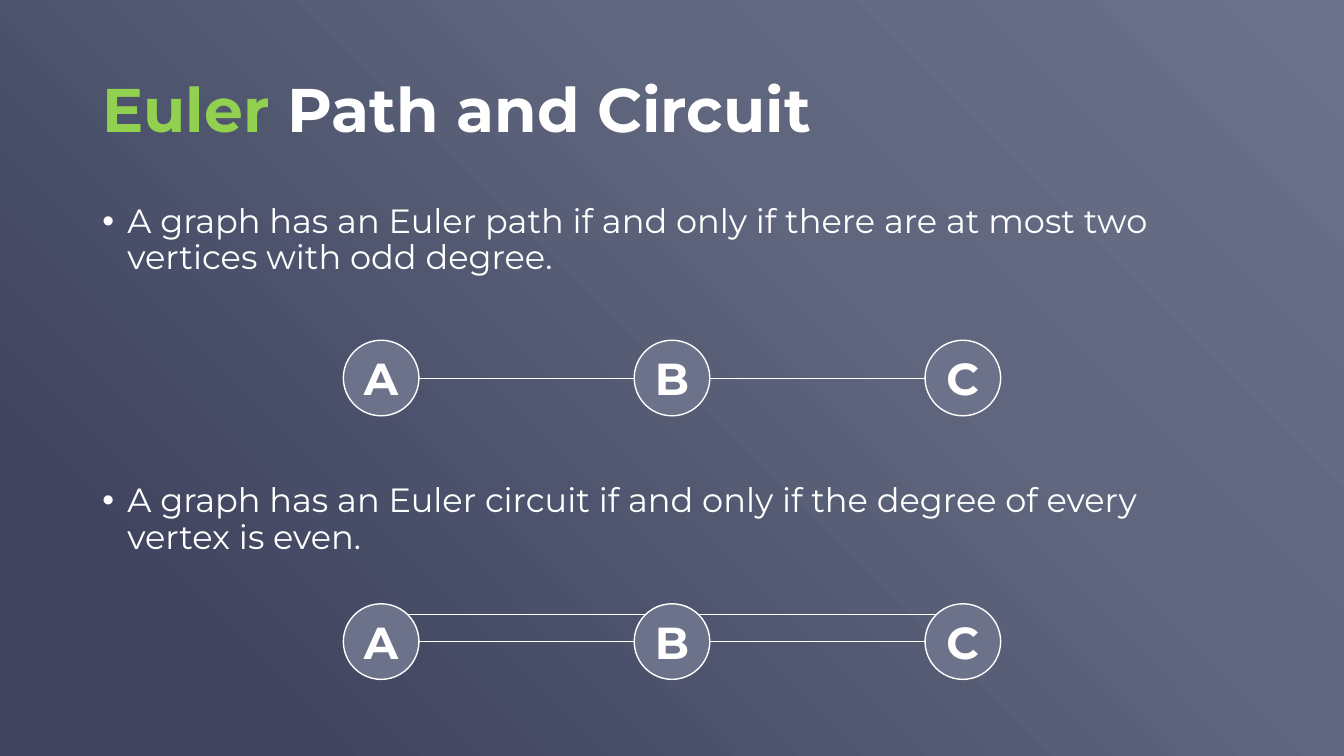
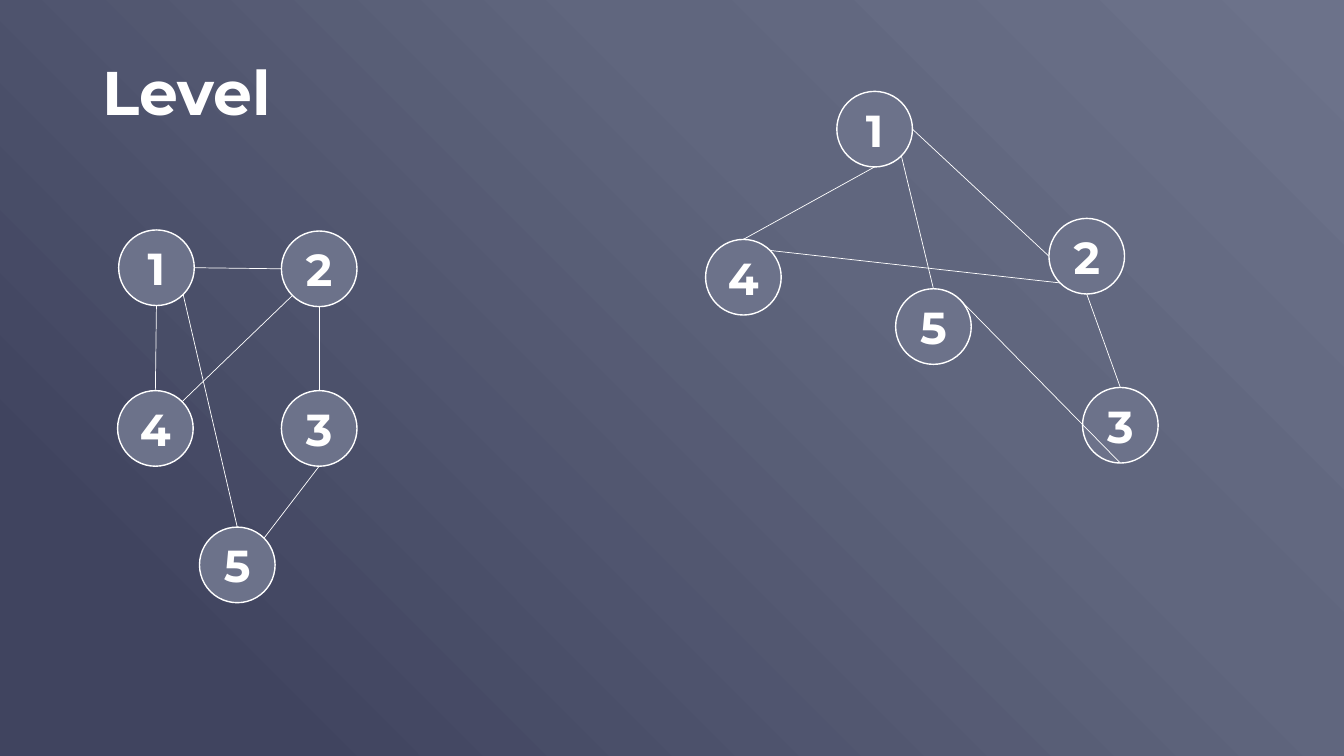
from copy import deepcopy
from dataclasses import dataclass
from math import cos, radians, sin

from lxml.etree import SubElement
from pptx import Presentation
from pptx.dml.color import RGBColor
from pptx.enum.shapes import MSO_CONNECTOR, MSO_SHAPE
from pptx.enum.text import MSO_ANCHOR, MSO_AUTO_SIZE, PP_ALIGN
from pptx.oxml.ns import qn
from pptx.util import Emu, Pt


@dataclass(frozen=True)
class Theme:
    font: str = "Montserrat"
    text: str = "FFFFFF"
    accent: str = "92D050"
    node: str = "6C728A"
    backdrop: tuple = ((0, "6C728A"), (0.35, "60667E"), (0.86, "40445F"))
    title_size: int = 44
    body_size: int = 24
    label_size: int = 32
    outline: float = 1
    edge: float = 0.5


THEME = Theme()
EMU_PER_PX = 9525
SLIDE_SIZE = (1280, 720)
LEFT, CONTENT_WIDTH = 88, 1104
TITLE_HEIGHT, STATEMENT_HEIGHT = 139, 98
NODE = 72
INDENT = 24
BEARINGS = {"E": 0, "SE": 45, "S": 90, "SW": 135,
            "W": 180, "NW": 225, "N": 270, "NE": 315}

CHAIN_STEP = 277
CHAIN_LEFT = (SLIDE_SIZE[0] - NODE) // 2 - CHAIN_STEP
CHAIN_NODES = {name: (i * CHAIN_STEP, 0) for i, name in enumerate("ABC")}
PATH_EDGES = [("A", "E", "B", "W"), ("B", "E", "C", "W")]
CIRCUIT_EDGES = PATH_EDGES + [("A", "NE", "B", "NW"), ("B", "NE", "C", "NW")]

COMPACT_NODES = {"1": (1, 0), "2": (156, 1), "3": (156, 153),
                 "4": (0, 153), "5": (78, 283)}
COMPACT_EDGES = [("1", "E", "2", "W"), ("2", "S", "3", "N"),
                 ("1", "S", "4", "N"), ("3", "S", "5", "NE"),
                 ("1", "SE", "5", "N"), ("2", "SW", "4", "NE")]
SPREAD_NODES = {"1": (125, 0), "2": (327, 121), "3": (359, 282),
                "4": (0, 141), "5": (181, 188)}
SPREAD_EDGES = [("1", "E", "2", "W"), ("2", "S", "3", "N"),
                ("1", "S", "4", "N"), ("3", "S", "5", "NE"),
                ("1", "SE", "5", "N"), ("2", "SW", "4", "NE")]


def px(length):
    return Emu(round(length * EMU_PER_PX))


def apply_format(target, **values):
    for attribute, value in values.items():
        setattr(target, attribute, value)


def add_run(paragraph, text, size, color=THEME.text, bold=False):
    run = paragraph.add_run()
    run.text = text
    apply_format(run.font, name=THEME.font, size=Pt(size), bold=bold)
    run.font.color.rgb = RGBColor.from_string(color)


def set_line(line, width):
    line.color.rgb = RGBColor.from_string(THEME.text)
    line.width = Pt(width)


def paint_backdrop(master):
    """Give every slide the diagonal gradient, lightest at the top right."""
    fill = master.background.fill
    fill.gradient()
    fill.gradient_angle = 225
    stop_list = master.element.find(".//" + qn("a:gsLst"))
    stop_list.append(deepcopy(stop_list[0]))
    for stop, (position, color) in zip(fill.gradient_stops, THEME.backdrop):
        stop.position = position
        stop.color.rgb = RGBColor.from_string(color)


def add_titled_slide(prs, top, parts):
    """Add a slide whose title is made of (text, colour) parts."""
    slide = prs.slides.add_slide(prs.slide_layouts[5])
    title = slide.shapes.title
    apply_format(title, left=px(LEFT), top=px(top),
                 width=px(CONTENT_WIDTH), height=px(TITLE_HEIGHT))
    apply_format(title.text_frame, word_wrap=True, auto_size=MSO_AUTO_SIZE.NONE,
                 vertical_anchor=MSO_ANCHOR.MIDDLE)
    heading = title.text_frame.paragraphs[0]
    apply_format(heading, alignment=PP_ALIGN.LEFT, line_spacing=0.9)
    for text, color in parts:
        add_run(heading, text, THEME.title_size, color, bold=True)
    return slide


def add_statement(slide, top, text):
    box = slide.shapes.add_textbox(px(LEFT), px(top), px(CONTENT_WIDTH),
                                   px(STATEMENT_HEIGHT))
    box.text_frame.word_wrap = True
    statement = box.text_frame.paragraphs[0]
    statement.line_spacing = 0.9
    properties = statement._p.get_or_add_pPr()
    properties.set("marL", str(px(INDENT)))
    properties.set("indent", str(px(-INDENT)))
    SubElement(properties, qn("a:buFont"), typeface="Arial")
    SubElement(properties, qn("a:buChar"), char="•")
    add_run(statement, text, THEME.body_size)


def add_node(slide, left, top, label):
    node = slide.shapes.add_shape(MSO_SHAPE.FLOWCHART_CONNECTOR,
                                  px(left), px(top), px(NODE), px(NODE))
    node.shadow.inherit = False
    node.fill.solid()
    node.fill.fore_color.rgb = RGBColor.from_string(THEME.node)
    set_line(node.line, THEME.outline)
    apply_format(node.text_frame, word_wrap=False,
                 vertical_anchor=MSO_ANCHOR.MIDDLE)
    paragraph = node.text_frame.paragraphs[0]
    paragraph.alignment = PP_ALIGN.CENTER
    add_run(paragraph, label, THEME.label_size, bold=True)


def rim_point(corner, side):
    """Return the point on a node's rim that faces the given compass side."""
    angle, radius = radians(BEARINGS[side]), NODE / 2
    return (px(corner[0] + radius * (1 + cos(angle))),
            px(corner[1] + radius * (1 + sin(angle))))


def add_graph(slide, left, top, nodes, edges):
    """Draw nodes, then edges given as (node, side, node, side)."""
    corners = {label: (left + x, top + y) for label, (x, y) in nodes.items()}
    for label, corner in corners.items():
        add_node(slide, *corner, label)
    for start, start_side, end, end_side in edges:
        edge = slide.shapes.add_connector(
            MSO_CONNECTOR.STRAIGHT,
            *rim_point(corners[start], start_side),
            *rim_point(corners[end], end_side))
        set_line(edge.line, THEME.edge)
        SubElement(edge._element.spPr, qn("a:effectLst"))


def build_euler_slide(prs):
    slide = add_titled_slide(prs, 38, [("Euler ", THEME.accent),
                                       ("Path and Circuit", THEME.text)])
    add_statement(slide, 190, "A graph has an Euler path if and only if there "
                              "are at most two vertices with odd degree.")
    add_graph(slide, CHAIN_LEFT, 324, CHAIN_NODES, PATH_EDGES)
    add_statement(slide, 456, "A graph has an Euler circuit if and only if the "
                              "degree of every vertex is even.")
    add_graph(slide, CHAIN_LEFT, 575, CHAIN_NODES, CIRCUIT_EDGES)


def build_level_slide(prs):
    slide = add_titled_slide(prs, 21, [("Level", THEME.text)])
    add_graph(slide, 112, 219, COMPACT_NODES, COMPACT_EDGES)
    add_graph(slide, 672, 87, SPREAD_NODES, SPREAD_EDGES)


def main():
    prs = Presentation()
    prs.slide_width, prs.slide_height = map(px, SLIDE_SIZE)
    paint_backdrop(prs.slide_master)
    build_euler_slide(prs)
    build_level_slide(prs)
    prs.save("out.pptx")


if __name__ == "__main__":
    main()
